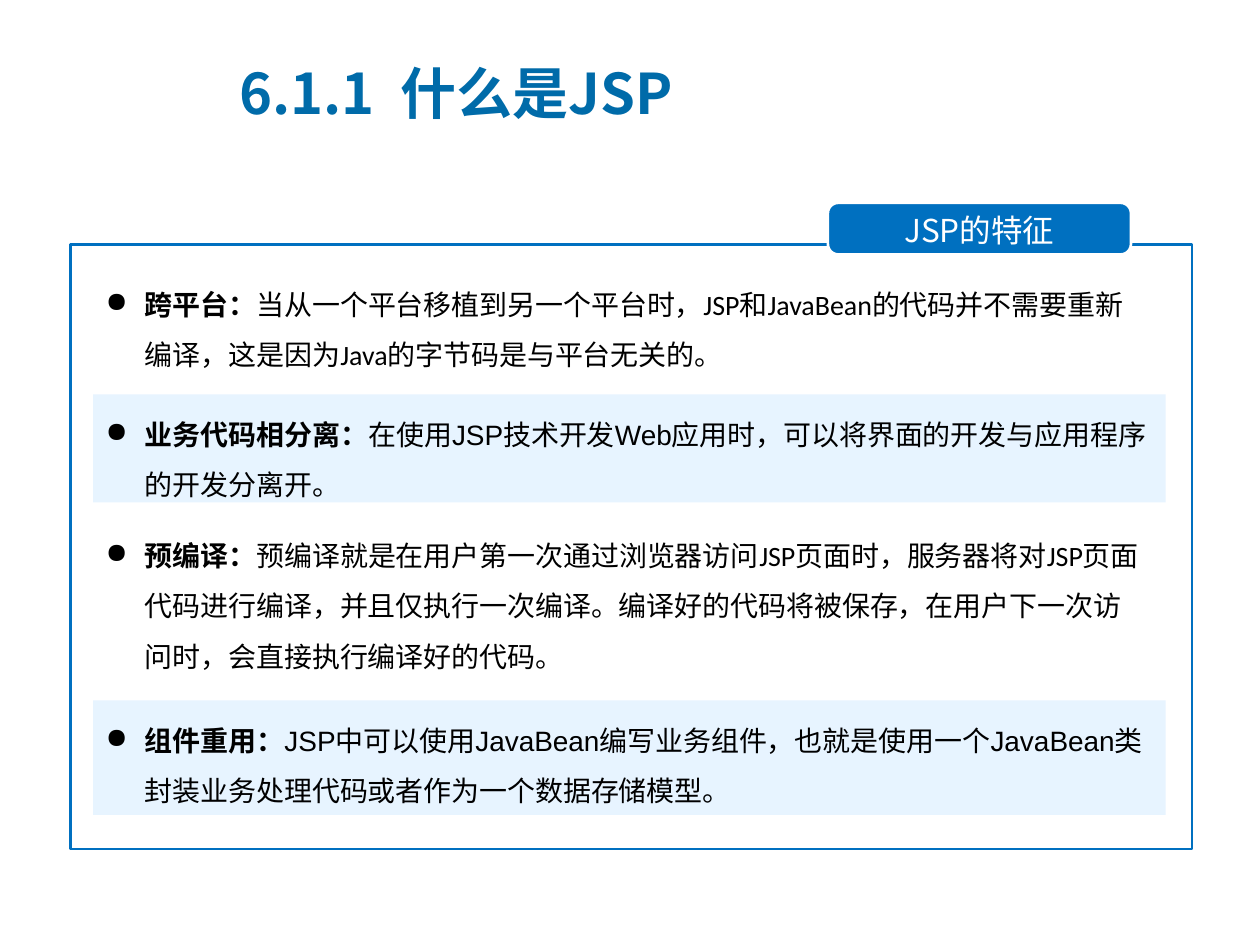
import pptx
import pptx.util
import pptx.dml.color
import pptx.enum.shapes
import pptx.enum.text
import pptx.oxml.ns
from lxml import etree

Cm = pptx.util.Cm
Pt = pptx.util.Pt
MSO_SHAPE = pptx.enum.shapes.MSO_SHAPE
ANCHOR = pptx.enum.text.MSO_ANCHOR
ALIGN = pptx.enum.text.PP_ALIGN

COLORS = {
    "blue": "0070C0",
    "title": "006BA9",
    "band": "E7F4FF",
    "white": "FFFFFF",
    "black": "000000",
}
CJK_FONT = "Noto Sans CJK SC"
FEATURE_LEFT = 1.88
FEATURES = [
    (5.33, 21.41, 2.31, None, "Calibri", "跨平台：",
     "当从一个平台移植到另一个平台时，JSP和JavaBean的代码并不需要重新编译，"
     "这是因为Java的字节码是与平台无关的。"),
    (7.95, 21.62, 2.18, "band", "Arial", "业务代码相分离：",
     "在使用JSP技术开发Web应用时，可以将界面的开发与应用程序的开发分离开。"),
    (10.39, 21.41, 3.33, None, "Calibri", "预编译：",
     "预编译就是在用户第一次通过浏览器访问JSP页面时，服务器将对JSP页面代码进行编译，"
     "并且仅执行一次编译。编译好的代码将被保存，在用户下一次访问时，会直接执行编译好的代码。"),
    (14.12, 21.62, 2.31, "band", "Arial", "组件重用：",
     "JSP中可以使用JavaBean编写业务组件，也就是使用一个JavaBean类封装业务处理代码"
     "或者作为一个数据存储模型。"),
]


def rgb(name):
    return pptx.dml.color.RGBColor.from_string(COLORS[name])


def apply_format(target, values):
    for name, value in values.items():
        setattr(target, name, value)


def add_panel(slide, kind, box, fill, line=None):
    shape = slide.shapes.add_shape(kind, *map(Cm, box))
    shape.shadow.inherit = False
    shape.fill.solid()
    shape.fill.fore_color.rgb = rgb(fill)
    if line:
        shape.line.color.rgb = rgb(line)
        shape.line.width = Pt(1.5)
    else:
        shape.line.fill.background()
    return shape


def add_run(paragraph, text, color, font_name, size, bold=False):
    run = paragraph.add_run()
    run.text = text
    apply_format(run.font, {"name": font_name, "size": Pt(size), "bold": bold})
    run.font.color.rgb = rgb(color)
    east_asian = etree.SubElement(run.font._element, pptx.oxml.ns.qn("a:ea"))
    east_asian.set("typeface", CJK_FONT)


def set_hanging_bullet(paragraph, indent, character):
    properties = paragraph._p.get_or_add_pPr()
    properties.set("marL", str(Cm(indent)))
    properties.set("indent", str(-Cm(indent)))
    bullet = etree.SubElement(properties, pptx.oxml.ns.qn("a:buChar"))
    bullet.set("char", character)


def add_title(slide, text):
    shape = slide.shapes.add_textbox(Cm(4.57), Cm(1.09), Cm(13.74), Cm(1.55))
    apply_format(shape.text_frame, {"word_wrap": True, "vertical_anchor": ANCHOR.MIDDLE})
    add_run(shape.text_frame.paragraphs[0], text, "title", CJK_FONT, 32, True)


def add_badge(slide, text):
    shape = add_panel(slide, MSO_SHAPE.ROUNDED_RECTANGLE, (16.69, 4.09, 6.11, 1.04),
                      "blue", "white")
    shape.adjustments[0] = 0.2
    apply_format(shape.text_frame, {
        "word_wrap": True,
        "vertical_anchor": ANCHOR.TOP,
        "margin_top": Cm(0.1),
        "margin_bottom": Cm(0),
    })
    paragraph = shape.text_frame.paragraphs[0]
    paragraph.alignment = ALIGN.CENTER
    add_run(paragraph, text, "white", CJK_FONT, 18)


def add_feature(slide, top, width, height, fill, font_name, heading, description):
    box = (FEATURE_LEFT, top, width, height)
    if fill:
        shape = add_panel(slide, MSO_SHAPE.RECTANGLE, box, fill)
    else:
        shape = slide.shapes.add_textbox(*map(Cm, box))
    apply_format(shape.text_frame, {"word_wrap": True, "vertical_anchor": ANCHOR.TOP})
    paragraph = shape.text_frame.paragraphs[0]
    apply_format(paragraph, {"alignment": ALIGN.LEFT, "line_spacing": 1.5})
    set_hanging_bullet(paragraph, 0.79, "●")
    add_run(paragraph, heading, "black", font_name, 16, True)
    add_run(paragraph, description, "black", font_name, 16)


def main():
    presentation = pptx.Presentation()
    apply_format(presentation, {"slide_width": Cm(25.4), "slide_height": Cm(19.05)})
    slide = presentation.slides.add_slide(presentation.slide_layouts[6])
    add_panel(slide, MSO_SHAPE.RECTANGLE, (1.42, 4.93, 22.61, 12.19), "white", "blue")
    add_badge(slide, "JSP的特征")
    for feature in FEATURES:
        add_feature(slide, *feature)
    add_title(slide, "6.1.1  什么是JSP")
    presentation.save("out.pptx")


if __name__ == "__main__":
    main()
